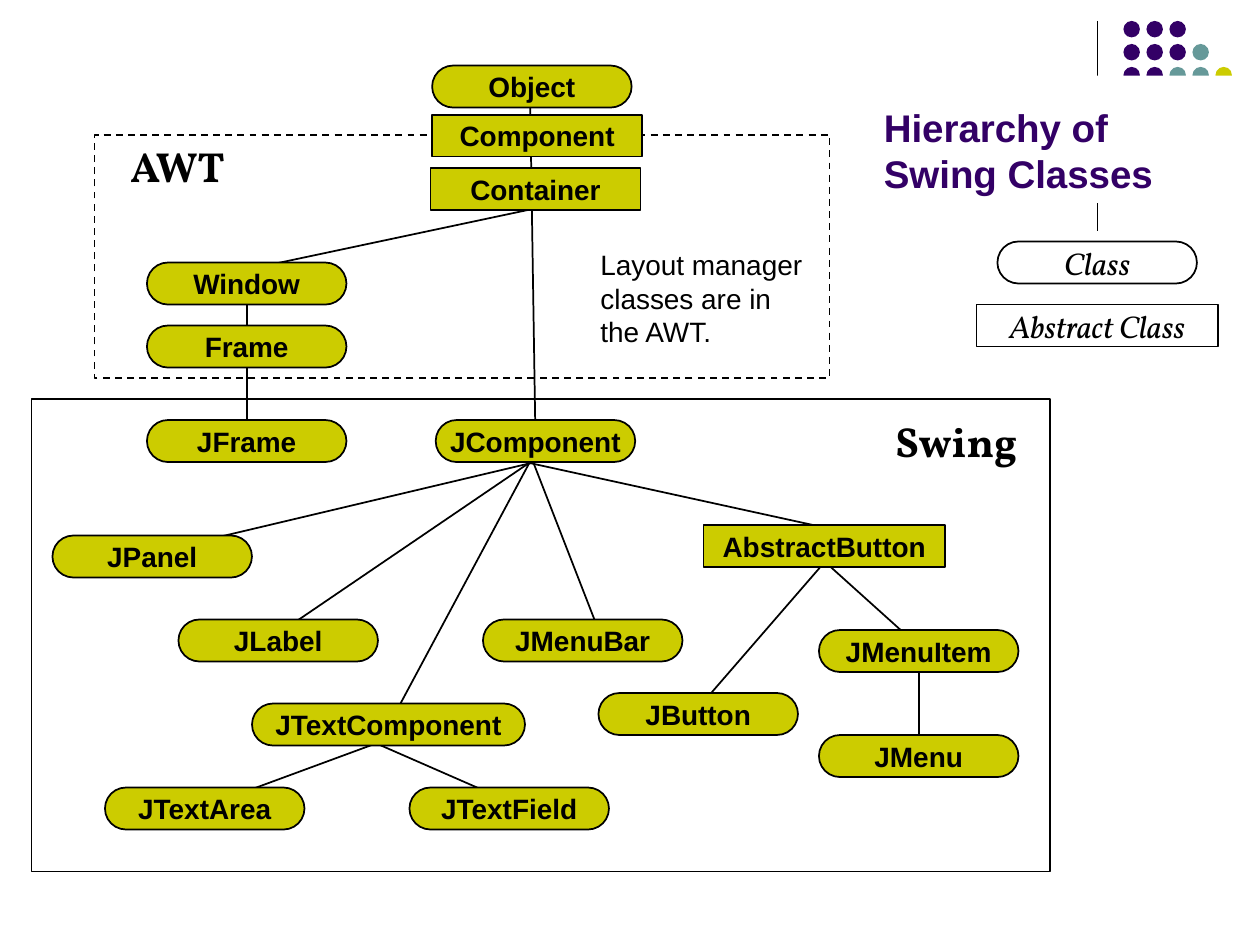
from collections import namedtuple

from lxml.etree import SubElement
from pptx import Presentation
from pptx.dml.color import RGBColor
from pptx.enum.dml import MSO_LINE as Dash
from pptx.enum.shapes import MSO_CONNECTOR as Connector, MSO_SHAPE as Shape
from pptx.enum.text import MSO_ANCHOR as Anchor, PP_ALIGN as Align
from pptx.oxml.ns import qn
from pptx.util import Inches, Pt

Box = namedtuple("Box", "col row cols rows")
CELL = Inches(1) / 12
NODE_COLS, NODE_ROWS = 19, 4
COLORS = {"ink": "000000", "paper": "FFFFFF", "purple": "330066",
          "teal": "669999", "olive": "CCCC00"}

AWT_BOX = Box(9, 12.84, 70, 23.16)
SWING_BOX = Box(3, 38, 97, 45)
LEGEND_BOX = Box(93, 23, 23, 10)
HEADER_BOX = Box(83, 2, 37, 20)

AWT_NODES = [
    ("Component", 32.16, -1.92, 20, True),
    ("Object", 32.16, -6.6, NODE_COLS, False),
    ("Container", 32, 3.16, 20, True),
    ("Window", 5, 12.16, NODE_COLS, False),
    ("Frame", 5, 18.16, NODE_COLS, False),
]
AWT_LINKS = [
    (41.5, -2.76, 42, 29.16),
    (14.5, 13.16, 14.5, 30.16),
    (46, 6.16, 13, 13.16),
]
SWING_NODES = [
    ("JFrame", 11, 2, NODE_COLS, False),
    ("JComponent", 38.5, 2, NODE_COLS, False),
    ("JPanel", 2, 13, NODE_COLS, False),
    ("JLabel", 14, 21, NODE_COLS, False),
    ("JMenuBar", 43, 21, NODE_COLS, False),
    ("AbstractButton", 64, 12, 23, True),
    ("JButton", 54, 28, NODE_COLS, False),
    ("JMenu", 75, 32, NODE_COLS, False),
    ("JMenuItem", 75, 22, NODE_COLS, False),
    ("JTextField", 36, 37, NODE_COLS, False),
    ("JTextArea", 7, 37, NODE_COLS, False),
    ("JTextComponent", 21, 29, 26, False),
]
SWING_LINKS = [
    (47, 6, 79, 13),
    (75, 15, 85, 24),
    (76, 15, 63, 30),
    (49, 5, 24, 22),
    (47, 4, 54, 22),
    (48, 5, 33, 33),
    (48, 6, 10, 15),
    (35, 32, 16, 39),
    (31, 32, 47, 39),
    (84.5, 23, 84.5, 34),
]


def color(name):
    return RGBColor.from_string(COLORS[name])


def grid(*cells):
    return [round(cell * CELL) for cell in cells]


def inside(box, col, row, cols, rows):
    return Box(box.col + col, box.row + row, cols, rows)


def write(shape, text, font="Arial", size=16, ink="ink", bold=False,
          italic=False, align=Align.CENTER, anchor=Anchor.MIDDLE, wrap=False):
    frame = shape.text_frame
    frame.word_wrap = wrap
    frame.vertical_anchor = anchor
    para = frame.paragraphs[0]
    para.text = text
    para.alignment = align
    for span in para.runs:
        span.font.name = font
        span.font.size = Pt(size)
        span.font.bold = bold
        span.font.italic = italic
        span.font.color.rgb = color(ink)


def add_text(page, box, text, **style):
    shape = page.shapes.add_textbox(*grid(*box))
    write(shape, text, **style)
    return shape


def add_outline(page, box, kind=Shape.RECTANGLE, fill=None, line="ink"):
    shape = page.shapes.add_shape(kind, *grid(*box))
    shape.shadow.inherit = False
    if kind == Shape.ROUNDED_RECTANGLE:
        shape.adjustments[0] = 0.5
    if fill:
        shape.fill.solid()
        shape.fill.fore_color.rgb = color(fill)
    else:
        shape.fill.background()
    if line:
        shape.line.color.rgb = color(line)
        shape.line.width = Pt(1)
    else:
        shape.line.fill.background()
    return shape


def add_node(page, box, text, abstract, fill=None, **style):
    kind = Shape.RECTANGLE if abstract else Shape.ROUNDED_RECTANGLE
    write(add_outline(page, box, kind, fill), text, **style)


def add_link(page, box, start_col, start_row, end_col, end_row, width=1):
    ends = grid(box.col + start_col, box.row + start_row,
                box.col + end_col, box.row + end_row)
    link = page.shapes.add_connector(Connector.STRAIGHT, *ends)
    link.line.color.rgb = color("ink")
    link.line.width = Pt(width)
    SubElement(link._element.spPr, qn("a:effectLst"))


def draw_tree(page, box, nodes, links):
    for link in links:
        add_link(page, box, *link)
    for text, col, row, cols, abstract in nodes:
        add_node(page, inside(box, col, row, cols, NODE_ROWS), text, abstract,
                 fill="olive", bold=True)


def draw_package_name(page, box, text):
    add_text(page, box, text, font="Vollkorn", size=24, bold=True,
             anchor=Anchor.TOP)


def draw_header(page, box):
    add_link(page, box, 21.5, 0, 21.5, box.rows, width=0.75)
    pitch, size = 2.19, 1.57
    dot_rows = [["purple"] * 3,
                ["purple"] * 3 + ["teal"],
                ["purple"] * 2 + ["teal"] * 2 + ["olive"]]
    for row, fills in enumerate(dot_rows):
        for col, fill in enumerate(fills):
            dot = inside(box, 24 + col * pitch, row * pitch, size, size)
            add_outline(page, dot, Shape.OVAL, fill, line=None)
    title = add_text(page, inside(box, 0, 5.2, box.cols, 12.12),
                     "Hierarchy of\vSwing Classes", size=22, ink="purple",
                     bold=True, align=Align.LEFT, anchor=Anchor.BOTTOM,
                     wrap=True)
    title.fill.solid()
    title.fill.fore_color.rgb = color("paper")


def draw_awt(page, box):
    border = add_outline(page, box, fill="paper")
    border.line.dash_style = Dash.DASH
    draw_tree(page, box, AWT_NODES, AWT_LINKS)
    draw_package_name(page, inside(box, 1.8, 0, 12.24, 6), "AWT")
    add_text(page, inside(box, 47, 10.16, 22, 10.8),
             "Layout manager classes are in the AWT.",
             align=Align.LEFT, anchor=Anchor.TOP, wrap=True)


def draw_swing(page, box):
    add_outline(page, box)
    draw_tree(page, box, SWING_NODES, SWING_LINKS)
    draw_package_name(page, inside(box, 80.88, 1, 14.4, 6), "Swing")


def draw_legend(page, box):
    style = {"font": "Vollkorn", "size": 18, "italic": True}
    add_node(page, inside(box, 2, 0, NODE_COLS, NODE_ROWS), "Class", False,
             **style)
    add_node(page, inside(box, 0, 6, box.cols, NODE_ROWS), "Abstract Class",
             True, **style)


def main():
    deck = Presentation()
    deck.slide_width, deck.slide_height = Inches(10), Inches(7.5)
    page = deck.slides.add_slide(deck.slide_layouts[6])
    draw_header(page, HEADER_BOX)
    draw_awt(page, AWT_BOX)
    draw_swing(page, SWING_BOX)
    draw_legend(page, LEGEND_BOX)
    deck.save("out.pptx")


if __name__ == "__main__":
    main()
